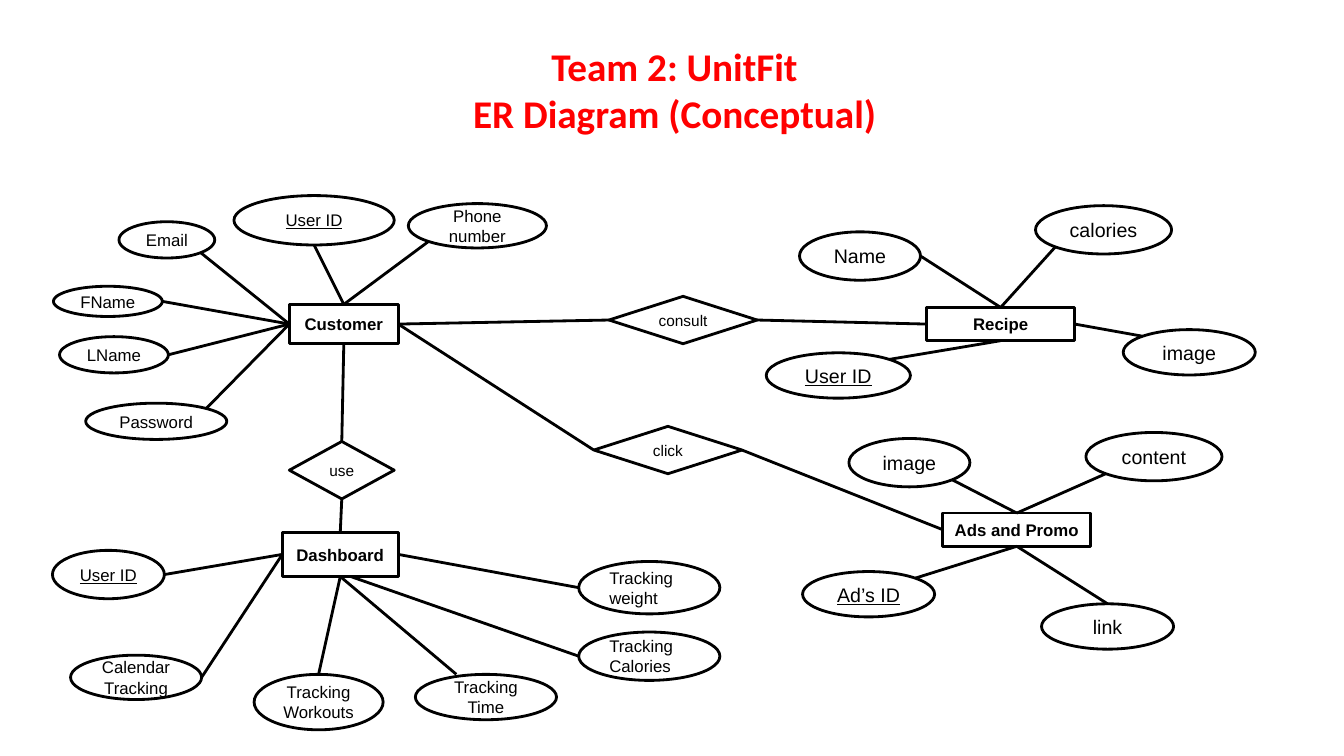
from lxml import etree
from pptx import Presentation
from pptx.dml.color import RGBColor
from pptx.enum.shapes import MSO_CONNECTOR, MSO_SHAPE
from pptx.enum.text import MSO_ANCHOR, PP_ALIGN
from pptx.oxml.ns import qn
from pptx.util import Inches, Pt

RECTANGLE, OVAL = MSO_SHAPE.RECTANGLE, MSO_SHAPE.OVAL
DIAMOND = MSO_SHAPE.FLOWCHART_DECISION
STRAIGHT = MSO_CONNECTOR.STRAIGHT
LEFT, CENTER, MIDDLE = PP_ALIGN.LEFT, PP_ALIGN.CENTER, MSO_ANCHOR.MIDDLE

COLORS = {"ink": "000000", "paper": "FFFFFF", "title": "FF0000"}
LINE_WIDTH = Pt(2)
ENTITY_FORMAT = {"size": Pt(12), "bold": True}
RELATION_FORMAT = {"size": Pt(11)}
TITLE_FORMAT = {"name": "Calibri", "size": Pt(28), "bold": True}

# Connection points as shares of a shape's width and height
NEAR, FAR = 0.146, 0.854
N, S, W, E = (0.5, 0), (0.5, 1), (0, 0.5), (1, 0.5)
NW, NE, SW, SE = (NEAR, NEAR), (FAR, NEAR), (NEAR, FAR), (FAR, FAR)

# Region origin, entity box and attributes; boxes are relative to the origin.
# Attribute: text, box, point on the entity, point on the oval, options
REGIONS = {
    "Customer": ((0.5, 1.9), (2.37, 1.12, 1.08, 0.39), 12, [
        ("FName", (0.03, 0.94, 1.08, 0.3), W, E, {}),
        ("LName", (0.09, 1.44, 1.08, 0.36), W, E, {}),
        ("Password", (0.35, 2.1, 1.4, 0.36), W, NE, {}),
        ("Phone number", (3.55, 0.12, 1.37, 0.44), N, SW, {}),
        ("Email", (0.68, 0.3, 0.95, 0.36), W, SE, {}),
        ("User ID", (1.82, 0.04, 1.59, 0.49), N, S, {"key": True}),
    ]),
    "Recipe": ((7.6, 2), (1.59, 1.05, 1.47, 0.33), 14, [
        ("image", (3.54, 1.27, 1.31, 0.45), E, NW, {}),
        ("Name", (0.33, 0.3, 1.2, 0.48), N, E, {}),
        ("calories", (2.67, 0.04, 1.35, 0.48), N, SW, {}),
        ("User ID", (0, 1.5, 1.43, 0.45), S, NE, {"key": True}),
    ]),
    "Dashboard": ((0.5, 5.2), (2.3, 0.08, 1.15, 0.44), 12, [
        ("Tracking Calories", (5.24, 1.07, 1.4, 0.48), (0.59, 1), W, {"align": LEFT}),
        ("Tracking weight", (5.24, 0.37, 1.4, 0.52), E, W, {"align": LEFT}),
        ("Tracking Workouts", (2.02, 1.49, 1.28, 0.55), S, N, {}),
        ("Calendar Tracking", (0.2, 1.3, 1.3, 0.44), W, E, {}),
        ("Tracking Time", (3.62, 1.49, 1.4, 0.45), S, (0.29, 0), {}),
        ("User ID", (0.02, 0.26, 1.11, 0.48), W, E, {"key": True}),
    ]),
    "Ads and Promo": ((7.9, 4.2), (1.45, 0.89, 1.47, 0.33), 14, [
        ("link", (2.43, 1.79, 1.31, 0.45), S, N, {}),
        ("image", (0.52, 0.15, 1.2, 0.48), N, SE, {}),
        ("content", (2.87, 0.09, 1.35, 0.48), N, SW, {}),
        ("Ad’s ID", (0.06, 1.47, 1.31, 0.45), S, NE, {"key": True}),
    ]),
}

# Relation: text, box, first entity and its point, second entity and its point,
# then the two points on the diamond
RELATIONS = [
    ("consult", (6.04, 2.94, 1.47, 0.47), "Customer", E, "Recipe", W, W, E),
    ("use", (2.87, 4.38, 1.04, 0.57), "Customer", S, "Dashboard", N, N, S),
    ("click", (5.89, 4.23, 1.47, 0.47), "Customer", E, "Ads and Promo", W, W, E),
]


def write(paragraph, text, color, formats, align=CENTER):
    paragraph.alignment = align
    run = paragraph.add_run()
    run.text = text
    for name, value in formats.items():
        setattr(run.font, name, value)
    run.font.color.rgb = RGBColor.from_string(COLORS[color])


def add_node(slide, kind, text, box, formats, align=CENTER):
    shape = slide.shapes.add_shape(kind, *map(Inches, box))
    shape.shadow.inherit = False
    shape.fill.solid()
    shape.fill.fore_color.rgb = RGBColor.from_string(COLORS["paper"])
    shape.line.color.rgb = RGBColor.from_string(COLORS["ink"])
    shape.line.width = LINE_WIDTH
    shape.text_frame.vertical_anchor = MIDDLE
    write(shape.text_frame.paragraphs[0], text, "ink", {"name": "Arial", **formats}, align)
    return shape


def point_on(shape, shares):
    return (int(shape.left + shares[0] * shape.width),
            int(shape.top + shares[1] * shape.height))


def link(slide, start, start_shares, end, end_shares):
    connector = slide.shapes.add_connector(
        STRAIGHT, *point_on(start, start_shares), *point_on(end, end_shares))
    connector.line.color.rgb = RGBColor.from_string(COLORS["ink"])
    connector.line.width = LINE_WIDTH
    properties = connector.element.find(qn("p:spPr"))
    etree.SubElement(properties, qn("a:effectLst"))


def add_title(slide, lines, box):
    frame = slide.shapes.add_textbox(*map(Inches, box)).text_frame
    frame.word_wrap = True
    for index, line in enumerate(lines):
        paragraph = frame.add_paragraph() if index else frame.paragraphs[0]
        write(paragraph, line, "title", TITLE_FORMAT)


def add_region(slide, name, origin, entity_box, size, attributes):
    """Draw an entity with its attributes and return the entity."""
    def place(box):
        return (origin[0] + box[0], origin[1] + box[1], box[2], box[3])

    entity = add_node(slide, RECTANGLE, name, place(entity_box), ENTITY_FORMAT)
    for text, box, entity_point, oval_point, options in attributes:
        formats = {"size": Pt(size), "underline": options.get("key", False)}
        oval = add_node(slide, OVAL, text, place(box), formats,
                        options.get("align", CENTER))
        link(slide, entity, entity_point, oval, oval_point)
    return entity


def add_relation(slide, entities, text, box, first, first_point,
                 second, second_point, entry, leave):
    diamond = add_node(slide, DIAMOND, text, box, RELATION_FORMAT)
    link(slide, entities[first], first_point, diamond, entry)
    link(slide, diamond, leave, entities[second], second_point)


def main():
    presentation = Presentation()
    presentation.slide_width = Inches(13.33)
    presentation.slide_height = Inches(7.5)
    slide = presentation.slides.add_slide(presentation.slide_layouts[6])

    add_title(slide, ["Team 2: UnitFit", "ER Diagram (Conceptual)"],
              (3.4, 0.37, 6.58, 1.04))
    # Entities with their attributes
    entities = {name: add_region(slide, name, *region)
                for name, region in REGIONS.items()}
    # Relations between entities
    for relation in RELATIONS:
        add_relation(slide, entities, *relation)

    presentation.save("out.pptx")


if __name__ == "__main__":
    main()
